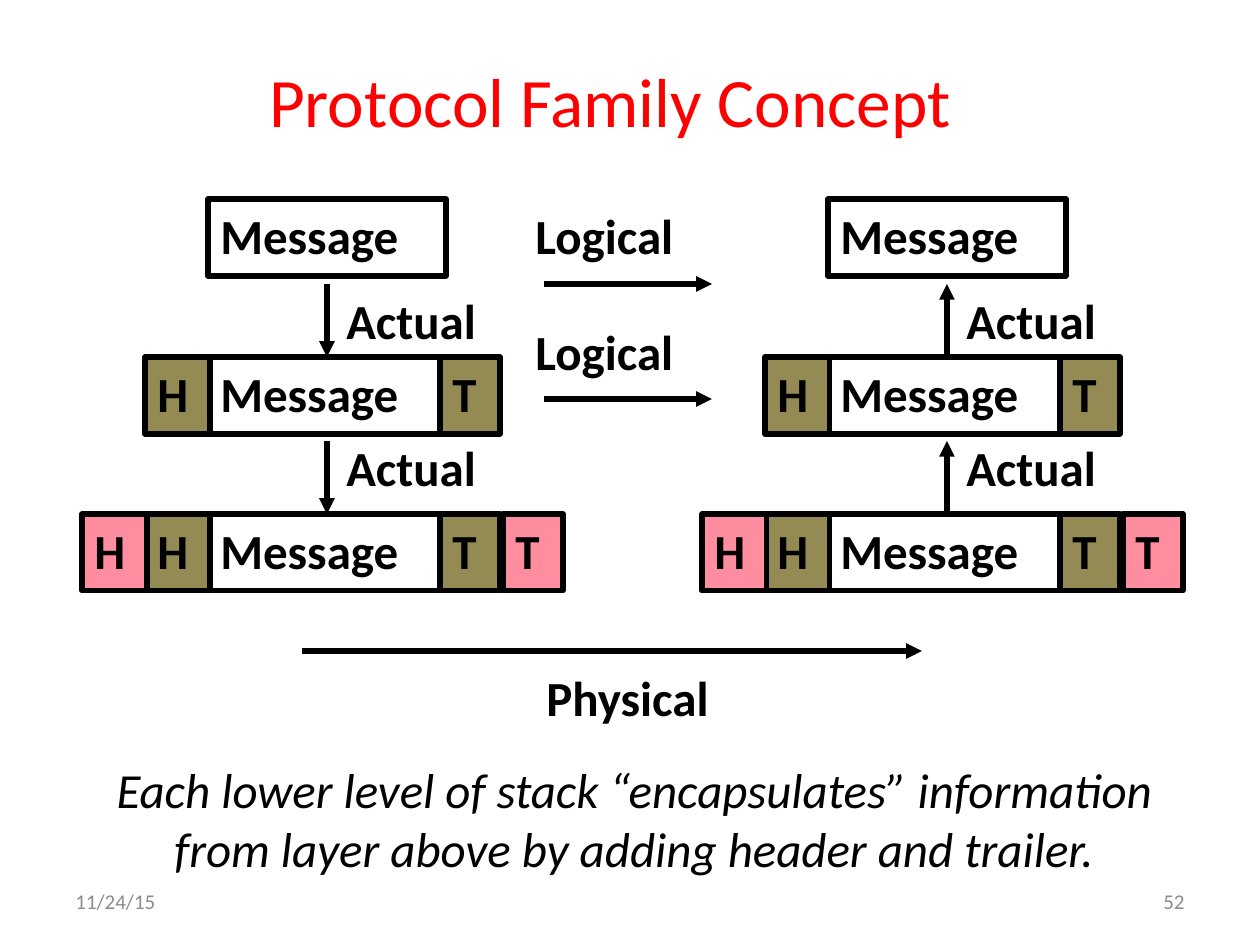
from typing import NamedTuple, Optional

from lxml import etree
from pptx import Presentation
from pptx.dml.color import RGBColor
from pptx.enum.shapes import MSO_CONNECTOR, MSO_SHAPE
from pptx.enum.text import MSO_ANCHOR, PP_ALIGN
from pptx.oxml.ns import qn
from pptx.util import Pt

PX = 914400 // 126  # EMU in one px
BLACK = RGBColor(0x00, 0x00, 0x00)
RED = RGBColor(0xFF, 0x00, 0x00)
GREY = RGBColor(0x8C, 0x8C, 0x8C)
OLIVE = RGBColor(0x94, 0x8A, 0x54)
PINK = RGBColor(0xFF, 0x8D, 0xA0)
RECT = MSO_SHAPE.RECTANGLE
LINE = MSO_CONNECTOR.STRAIGHT
TOP, MID = MSO_ANCHOR.TOP, MSO_ANCHOR.MIDDLE
LEFT, CENTER, RIGHT = PP_ALIGN.LEFT, PP_ALIGN.CENTER, PP_ALIGN.RIGHT
FONT = "Calibri"


class Style(NamedTuple):
    size: float = 28
    color: RGBColor = BLACK
    bold: bool = False
    slant: bool = False
    align: PP_ALIGN = LEFT
    anchor: MSO_ANCHOR = TOP


class Cell(NamedTuple):
    text: str
    dx: int  # from the left edge of the message cell
    width: int
    fill: Optional[RGBColor] = None


class Tier(NamedTuple):
    top: int
    cells: list[Cell]
    label: Optional[int] = None  # top of the "Actual" label


class Stack(NamedTuple):
    left: int
    down: bool


class Label(NamedTuple):
    text: str
    left: int
    top: int
    width: int
    height: int
    style: Style


class Flow(NamedTuple):
    start: int
    end: int
    y: int


BOLD = Style(bold=True)
FOOT = Style(12, GREY, anchor=MID)
HIGH, GAP, TEXT_HIGH = 77, 73, 72

CORE = [Cell("Message", 0, 238)]
INNER = [Cell("T", 232, 60, OLIVE), Cell("H", -63, 65, OLIVE)]
OUTER = [Cell("T", 295, 60, PINK), Cell("H", -126, 65, PINK)]
TIERS = [
    Tier(199, CORE),
    Tier(357, CORE + INNER, 284),
    Tier(514, CORE + INNER + OUTER, 431),
]
STACKS = [Stack(208, True), Stack(828, False)]
FLOWS = [Flow(544, 712, 284), Flow(544, 712, 399), Flow(302, 922, 651)]
LABELS = [
    Label("Protocol Family Concept", 105, 67, 1010, 66,
          Style(39.6, RED, align=CENTER, anchor=MID)),
    Label("Logical", 523, 199, 197, TEXT_HIGH, BOLD),
    Label("Logical", 523, 315, 197, TEXT_HIGH, BOLD),
    Label("Physical", 534, 661, 224, TEXT_HIGH, BOLD),
    Label("Each lower level of stack “encapsulates” information "
          "from layer above by adding header and trailer.",
          89, 753, 1090, 131, Style(slant=True, align=CENTER)),
    Label("11/24/15", 63, 876, 294, 50, FOOT),
    Label("52", 903, 876, 294, 50, FOOT._replace(align=RIGHT)),
]


def write(shape, text: str, style: Style) -> None:
    frame = shape.text_frame
    frame.word_wrap = True
    frame.vertical_anchor = style.anchor
    para = frame.paragraphs[0]
    para.alignment = style.align
    run = para.add_run()
    run.text = text
    font = run.font
    font.name, font.size = FONT, Pt(style.size)
    font.bold, font.italic = style.bold, style.slant
    font.color.rgb = style.color


def add_label(slide, label: Label) -> None:
    box = slide.shapes.add_textbox(
        label.left * PX, label.top * PX, label.width * PX, label.height * PX)
    write(box, label.text, label.style)


def add_cell(slide, cell: Cell, left: int, top: int):
    box = slide.shapes.add_shape(
        RECT, (left + cell.dx) * PX, top * PX, cell.width * PX, HIGH * PX)
    box.shadow.inherit = False
    if cell.fill is None:
        box.fill.background()
    else:
        box.fill.solid()
        box.fill.fore_color.rgb = cell.fill
    box.line.color.rgb = BLACK
    box.line.width = Pt(3)
    write(box, cell.text, BOLD)
    return box


def add_arrow(slide, x1: int, y1: int, x2: int, y2: int):
    arrow = slide.shapes.add_connector(LINE, x1 * PX, y1 * PX, x2 * PX, y2 * PX)
    arrow.line.color.rgb = BLACK
    arrow.line.width = Pt(3)
    tip = etree.SubElement(arrow.line._get_or_add_ln(), qn("a:tailEnd"))
    tip.set("type", "triangle")
    etree.SubElement(arrow._element.spPr, qn("a:effectLst"))
    return arrow


def add_tier(slide, stack: Stack, tier: Tier) -> None:
    boxes = [add_cell(slide, cell, stack.left, tier.top) for cell in tier.cells]
    if tier.label is None:
        return
    # Arrow between this tier and the one above
    x = stack.left + CORE[0].width // 2
    if stack.down:
        add_arrow(slide, x, tier.top - GAP, x, tier.top).end_connect(boxes[0], 0)
    else:
        add_arrow(slide, x, tier.top, x, tier.top - GAP).begin_connect(boxes[0], 0)
    add_label(slide, Label("Actual", stack.left + 126, tier.label,
                           175, TEXT_HIGH, BOLD))


def main() -> None:
    deck = Presentation()
    deck.slide_width, deck.slide_height = 1260 * PX, 945 * PX
    slide = deck.slides.add_slide(deck.slide_layouts[6])

    # Sender and receiver stacks
    for stack in STACKS:
        for tier in TIERS:
            add_tier(slide, stack, tier)

    # Flows from sender to receiver
    for flow in FLOWS:
        add_arrow(slide, flow.start, flow.y, flow.end, flow.y)

    # Title, flow names, summary and footer
    for label in LABELS:
        add_label(slide, label)

    deck.save("out.pptx")


if __name__ == "__main__":
    main()
